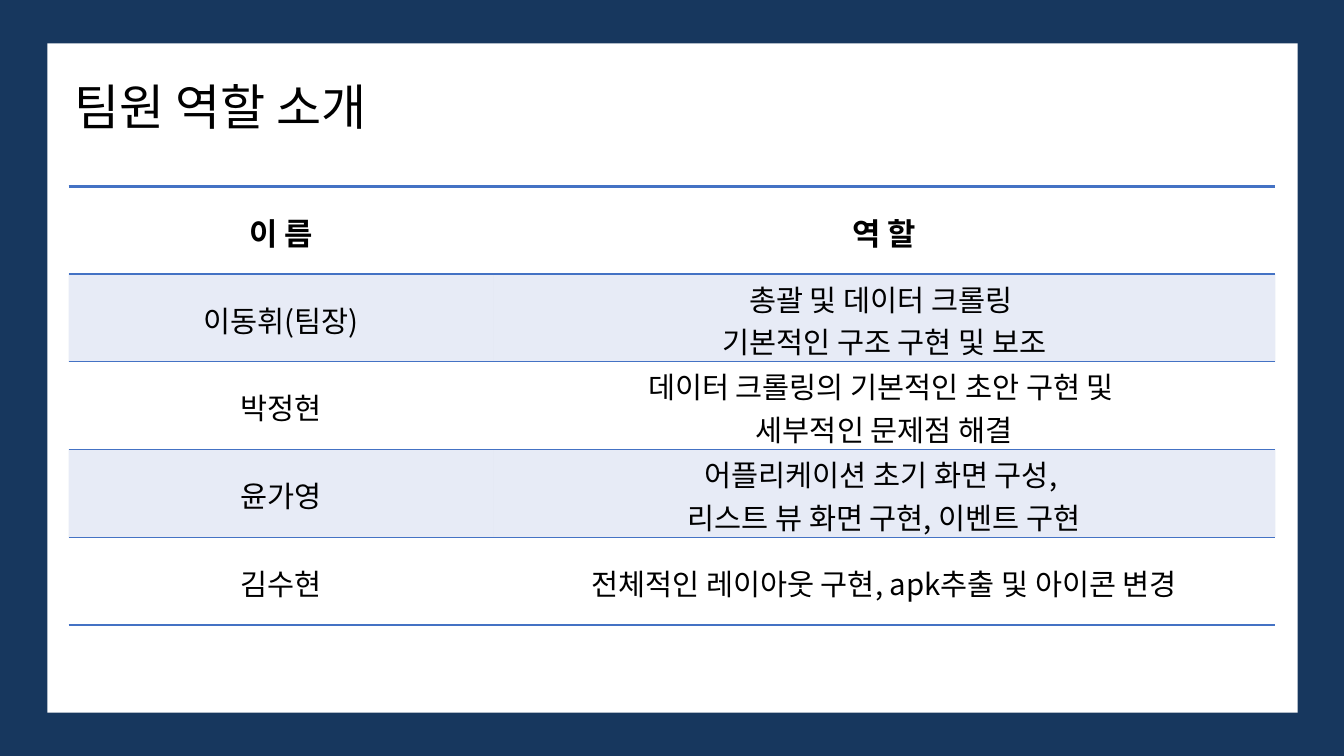
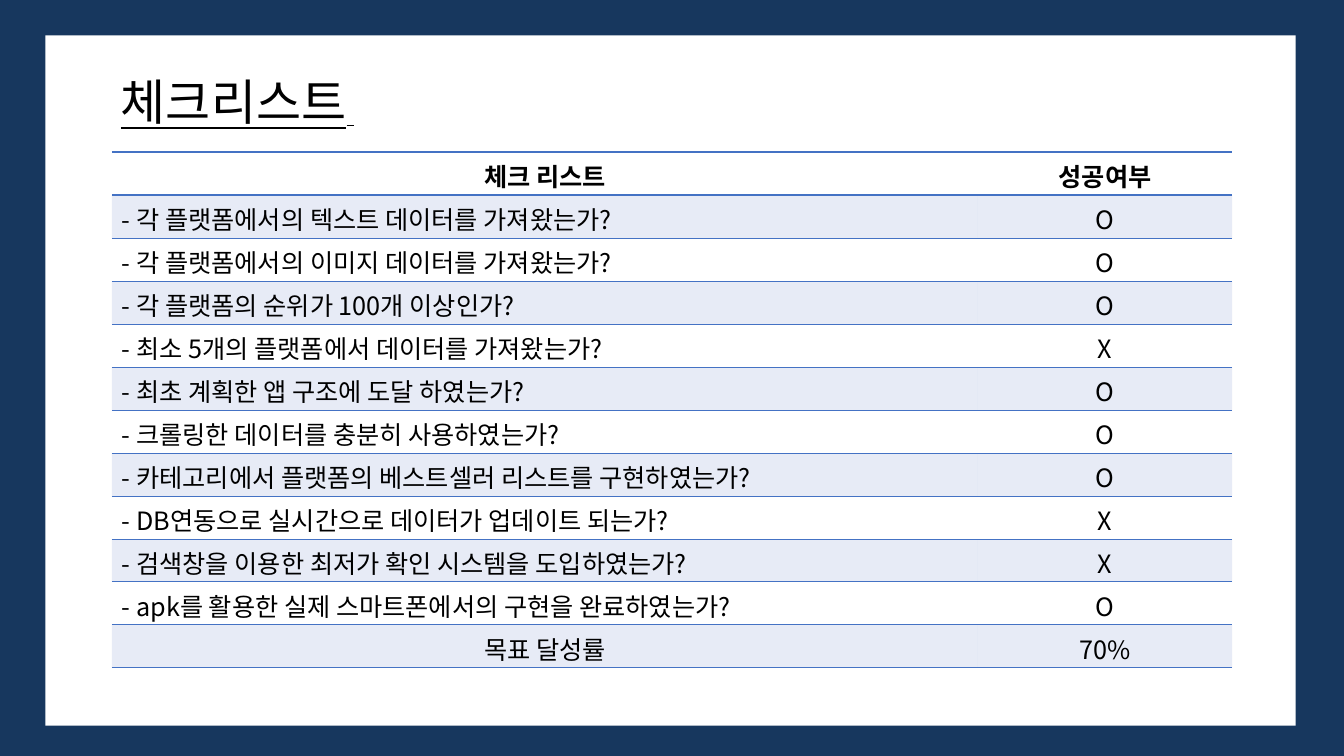
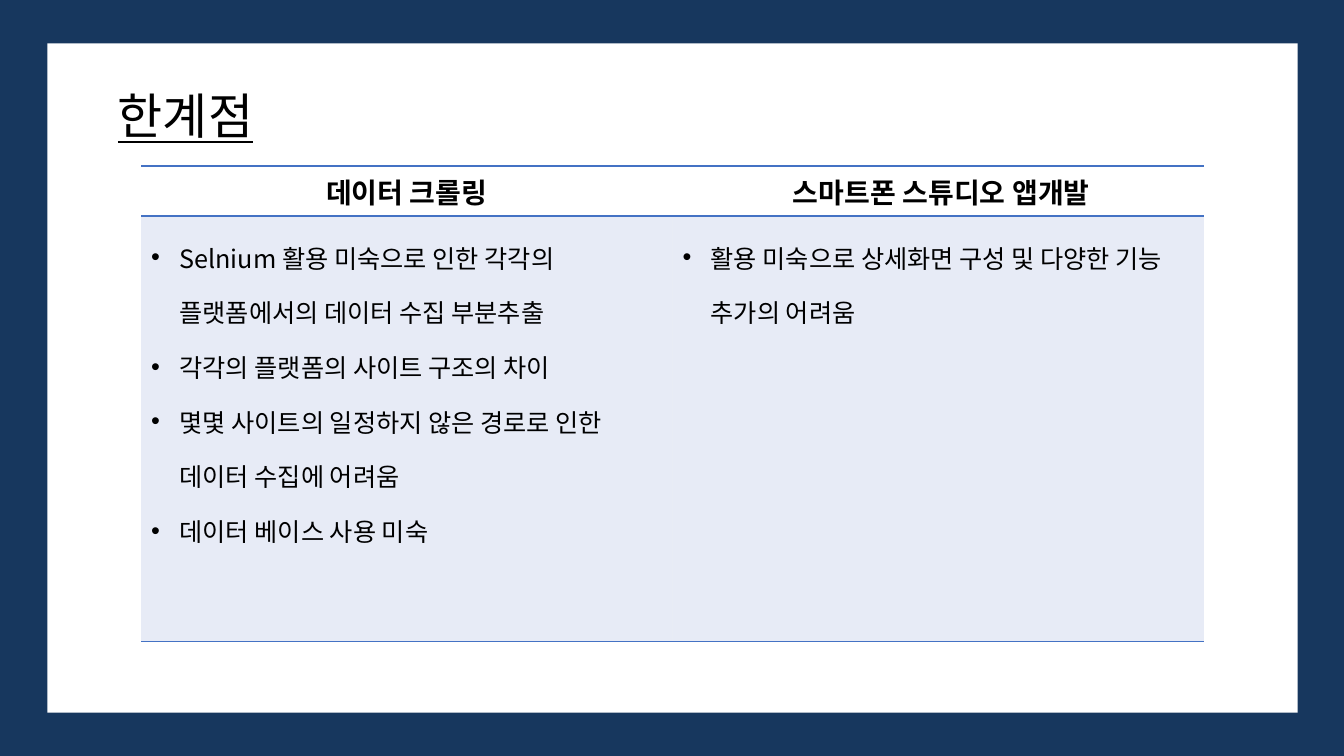
"""Build three project review slides: team roles, checklist and limitations."""
from lxml import etree
from pptx import Presentation
from pptx.dml.color import RGBColor
from pptx.enum import shapes, text
from pptx.oxml.ns import qn
from pptx.util import Inches, Pt

NAVY, WHITE, BLACK = "17375E", "FFFFFF", "000000"
RULE, BAND = "4472C4", "899DD2"
FONT = "Noto Sans CJK KR"
PLAIN_TABLE = "{2D5ABB26-0587-4C30-8999-92F81FD0307C}"
THICK, THIN = 1.79, 0.79


def rgb(value):
    return RGBColor.from_string(value)


def style(run, size, bold=False, underline=False):
    run.font.size = Pt(size)
    run.font.name = FONT
    run.font.bold = bold
    run.font.underline = underline
    run.font.color.rgb = rgb(BLACK)
    etree.SubElement(run._r.get_or_add_rPr(), qn("a:ea"), typeface=FONT)


pages = [
    {
        "panel": (0.47, 0.43, 12.4, 6.64),
        "title": "팀원 역할 소개", "title_at": (0.64, 0.71, 4.66, 0.68), "underline": False,
        "table_at": (0.68, 1.85), "columns": [4.21, 7.76], "heights": [0.87] * 5,
        "sizes": (22, 21), "margin": 0.03, "anchor": text.MSO_ANCHOR.MIDDLE,
        "last_rule": THICK, "bullets": False,
        "rows": [
            ("이 름", "역 할"),
            ("이동휘(팀장)", "총괄 및 데이터 크롤링 \n기본적인 구조 구현 및 보조"),
            ("박정현", "데이터 크롤링의 기본적인 초안 구현 및 \n세부적인 문제점 해결"),
            ("윤가영", "어플리케이션 초기 화면 구성, \n리스트 뷰 화면 구현, 이벤트 구현"),
            ("김수현", "전체적인 레이아웃 구현, apk추출 및 아이콘 변경"),
        ],
    },
    {
        "panel": (0.45, 0.35, 12.4, 6.85),
        "title": "체크리스트", "title_at": (1.1, 0.66, 4.52, 0.68), "underline": True,
        "title_tail": " ",
        "table_at": (1.11, 1.51), "columns": [8.59, 2.52], "heights": [5.12 / 12] * 12,
        "sizes": (18, 18), "margin": 0.05, "anchor": text.MSO_ANCHOR.TOP,
        "last_rule": THIN, "bullets": False,
        "rows": [
            ("체크 리스트", "성공여부"),
            ("- 각 플랫폼에서의 텍스트 데이터를 가져왔는가?", "O"),
            ("- 각 플랫폼에서의 이미지 데이터를 가져왔는가?", "O"),
            ("- 각 플랫폼의 순위가 100개 이상인가?", "O"),
            ("- 최소 5개의 플랫폼에서 데이터를 가져왔는가?", "X"),
            ("- 최초 계획한 앱 구조에 도달 하였는가?", "O"),
            ("- 크롤링한 데이터를 충분히 사용하였는가?", "O"),
            ("- 카테고리에서 플랫폼의 베스트셀러 리스트를 구현하였는가?", "O"),
            ("- DB연동으로 실시간으로 데이터가 업데이트 되는가?", "X"),
            ("- 검색창을 이용한 최저가 확인 시스템을 도입하였는가?", "X"),
            ("- apk를 활용한 실제 스마트폰에서의 구현을 완료하였는가?", "O"),
            ("목표 달성률", "70%"),
        ],
    },
    {
        "panel": (0.47, 0.43, 12.4, 6.64),
        "title": "한계점", "title_at": (1.07, 0.8, 5.25, 0.68), "underline": True,
        "table_at": (1.4, 1.65), "columns": [5.27, 5.27], "heights": [0.49, 4.22],
        "sizes": (20, 18), "margin": 0.05, "anchor": text.MSO_ANCHOR.TOP,
        "last_rule": THIN, "bullets": True,
        "rows": [
            ("데이터 크롤링", " 스마트폰 스튜디오 앱개발"),
            ("Selnium 활용 미숙으로 인한 각각의 플랫폼에서의 데이터 수집 부분추출\n"
             "각각의 플랫폼의 사이트 구조의 차이\n"
             "몇몇 사이트의 일정하지 않은 경로로 인한 데이터 수집에 어려움\n"
             "데이터 베이스 사용 미숙",
             "활용 미숙으로 상세화면 구성 및 다양한 기능 추가의 어려움"),
        ],
    },
]

deck = Presentation()
deck.slide_width, deck.slide_height = Inches(13.33), Inches(7.5)

for page in pages:
    slide = deck.slides.add_slide(deck.slide_layouts[6])
    slide.background.fill.solid()
    slide.background.fill.fore_color.rgb = rgb(NAVY)

    panel = slide.shapes.add_shape(shapes.MSO_SHAPE.RECTANGLE, *map(Inches, page["panel"]))
    panel.shadow.inherit = False
    panel.fill.solid()
    panel.fill.fore_color.rgb = rgb(WHITE)
    panel.line.fill.background()

    title = slide.shapes.add_textbox(*map(Inches, page["title_at"])).text_frame
    title.word_wrap = True
    title.vertical_anchor = text.MSO_ANCHOR.MIDDLE
    title.text = page["title"]
    style(title.paragraphs[0].runs[0], 35, underline=page["underline"])
    if "title_tail" in page:
        tail = title.paragraphs[0].add_run()
        tail.text = page["title_tail"]
        style(tail, 24, underline=page["underline"])

    rows, columns, heights = page["rows"], page["columns"], page["heights"]
    left, top = page["table_at"]
    table = slide.shapes.add_table(
        len(rows), len(columns), Inches(left), Inches(top),
        Inches(sum(columns)), Inches(sum(heights))).table
    table._tbl.tblPr.find(qn("a:tableStyleId")).text = PLAIN_TABLE
    for column, width in zip(table.columns, columns):
        column.width = Inches(width)
    rules = [THICK, THICK] + [THIN] * (len(rows) - 2) + [page["last_rule"]]

    for r, entries in enumerate(rows):
        table.rows[r].height = Inches(heights[r])
        header = r == 0
        for c, entry in enumerate(entries):
            cell = table.cell(r, c)
            cell.text_frame.text = entry
            cell.vertical_anchor = page["anchor"]
            cell.margin_top, cell.margin_bottom = Inches(page["margin"]), 0

            props = cell._tc.get_or_add_tcPr()
            for edge, width in (("a:lnT", rules[r]), ("a:lnB", rules[r + 1])):
                line = etree.SubElement(props, qn(edge), w=str(Pt(width)))
                paint = etree.SubElement(line, qn("a:solidFill"))
                etree.SubElement(paint, qn("a:srgbClr"), val=RULE)
            if r % 2:
                cell.fill.solid()
                cell.fill.fore_color.rgb = rgb(BAND)
                tint = props.find(qn("a:solidFill")).find(qn("a:srgbClr"))
                etree.SubElement(tint, qn("a:alpha"), val="20000")
            else:
                cell.fill.background()

            bulleted = page["bullets"] and not header
            flush_left = bulleted or entry.startswith("- ")
            for paragraph in cell.text_frame.paragraphs:
                paragraph.alignment = text.PP_ALIGN.LEFT if flush_left else text.PP_ALIGN.CENTER
                style(paragraph.runs[0], page["sizes"][0 if header else 1], bold=header)
                if bulleted:
                    paragraph.line_spacing = 1.5
                    layout = paragraph._p.get_or_add_pPr()
                    layout.set("marL", str(Inches(0.28)))
                    layout.set("indent", str(-Inches(0.28)))
                    etree.SubElement(layout, qn("a:buFont"), typeface="Arial")
                    etree.SubElement(layout, qn("a:buChar"), char="•")

deck.save("out.pptx")
